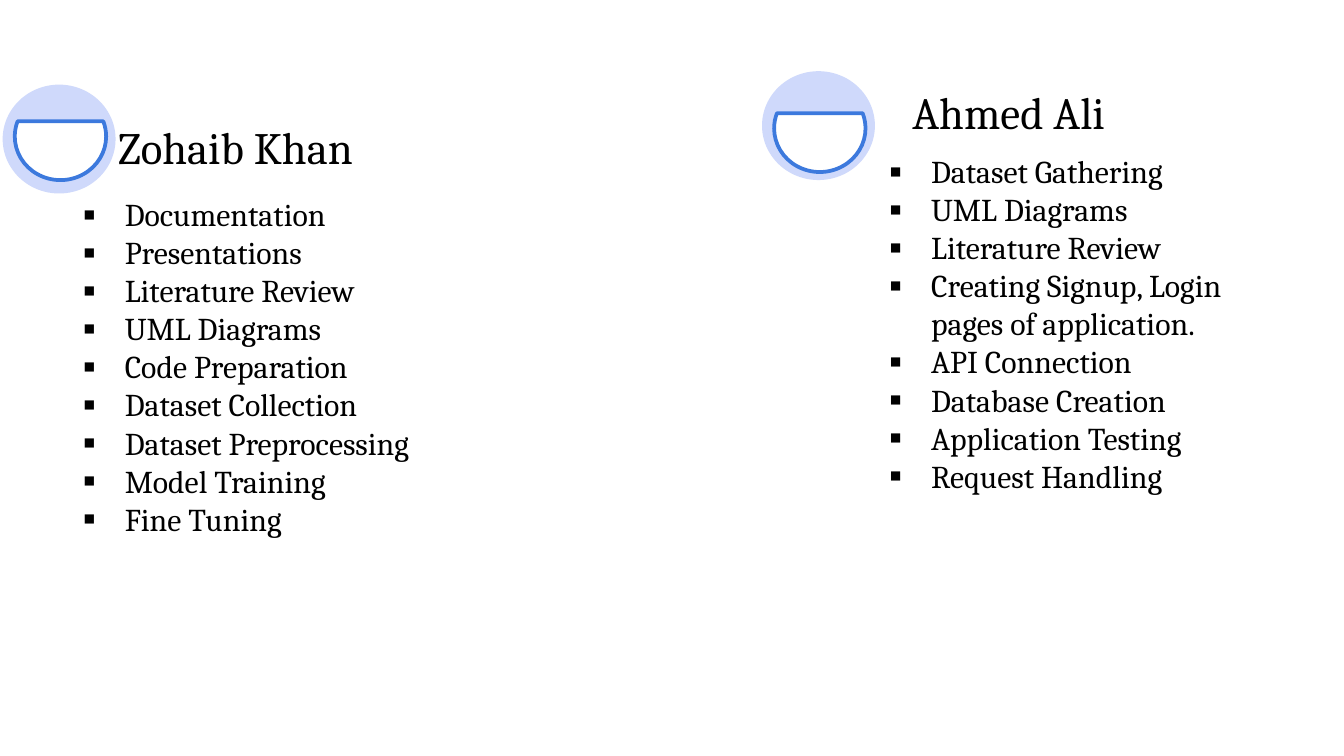
from dataclasses import dataclass

from lxml.etree import SubElement
from pptx import Presentation
from pptx.dml.color import RGBColor
from pptx.enum.shapes import MSO_SHAPE
from pptx.enum.text import MSO_AUTO_SIZE
from pptx.oxml.ns import qn
from pptx.util import Inches, Pt


@dataclass(frozen=True)
class Theme:
    font: str = "Cambria"
    ink: str = "000000"
    badge: str = "CFD9FB"
    face: str = "FFFFFF"
    outline: str = "3C79DD"
    name_size: int = 24
    task_size: int = 17
    outline_width: int = 2


@dataclass(frozen=True)
class Box:
    column: float
    row: float
    columns: float
    rows: float

    def inner(self, column, row, columns, rows):
        return Box(self.column + column, self.row + row, columns, rows)

    def lengths(self):
        return [Inches(cells * CELL) for cells in (self.column, self.row, self.columns, self.rows)]


@dataclass(frozen=True)
class Member:
    name: str
    tasks: tuple
    box: Box
    face_row: float
    name_at: tuple
    tasks_at: tuple


CELL = 0.1
SLIDE_COLUMNS, SLIDE_ROWS = 100, 56.25
BULLET_INDENT = Inches(0.31)
CHORD_ANGLES = (204.317, 119.683)
THEME = Theme()

MEMBERS = (
    Member(
        "Zohaib Khan",
        ("Documentation", "Presentations", "Literature Review", "UML Diagrams",
         "Code Preparation", "Dataset Collection", "Dataset Preprocessing",
         "Model Training", "Fine Tuning"),
        Box(0.2, 6.3, 33.9, 40.2), 0.6, (7.6, 2.1, 24.2, 5), (5, 7.7, 28.9, 32.5),
    ),
    Member(
        "Ahmed Ali",
        ("Dataset Gathering", "UML Diagrams", "Literature Review",
         "Creating Signup, Login pages of application.", "API Connection",
         "Database Creation", "Application Testing", "Request Handling"),
        Box(56.7, 5.3, 35.5, 35.1), 1, (10.2, 0.5, 24.2, 5), (8.5, 5.5, 27, 29.6),
    ),
)


def add_bullet(paragraph):
    properties = paragraph._p.get_or_add_pPr()
    properties.set("marL", str(BULLET_INDENT))
    properties.set("indent", str(-BULLET_INDENT))
    color = SubElement(properties, qn("a:buClr"))
    SubElement(color, qn("a:srgbClr"), val=THEME.ink)
    SubElement(properties, qn("a:buFont"), typeface=THEME.font)
    SubElement(properties, qn("a:buChar"), char="▪")


def add_text(slide, box, lines, *, size, bulleted=False):
    frame = slide.shapes.add_textbox(*box.lengths()).text_frame
    frame.word_wrap = True
    frame.auto_size = MSO_AUTO_SIZE.SHAPE_TO_FIT_TEXT
    for index, line in enumerate(lines):
        paragraph = frame.add_paragraph() if index else frame.paragraphs[0]
        if bulleted:
            add_bullet(paragraph)
        run = paragraph.add_run()
        run.text = line
        run.font.name = THEME.font
        run.font.size = Pt(size)
        run.font.color.rgb = RGBColor.from_string(THEME.ink)


def add_filled_shape(slide, kind, box, fill):
    shape = slide.shapes.add_shape(kind, *box.lengths())
    shape.shadow.inherit = False
    shape.fill.solid()
    shape.fill.fore_color.rgb = RGBColor.from_string(fill)
    shape.line.fill.background()
    return shape


def add_badge(slide, box, face_row):
    add_filled_shape(slide, MSO_SHAPE.OVAL, box, THEME.badge)
    face = add_filled_shape(slide, MSO_SHAPE.CHORD, box.inner(0.9, face_row, 6.8, 6.5), THEME.face)
    for index, angle in enumerate(CHORD_ANGLES):
        face.adjustments[index] = angle
    face.line.color.rgb = RGBColor.from_string(THEME.outline)
    face.line.width = Pt(THEME.outline_width)


def add_member(slide, member):
    box = member.box
    add_text(slide, box.inner(*member.tasks_at), member.tasks, size=THEME.task_size, bulleted=True)
    add_badge(slide, box.inner(0, 0, 8.4, 8.1), member.face_row)
    add_text(slide, box.inner(*member.name_at), [member.name], size=THEME.name_size)


def main():
    presentation = Presentation()
    presentation.slide_width = Inches(SLIDE_COLUMNS * CELL)
    presentation.slide_height = Inches(SLIDE_ROWS * CELL)
    slide = presentation.slides.add_slide(presentation.slide_layouts[6])
    for member in MEMBERS:
        add_member(slide, member)
    presentation.save("out.pptx")


if __name__ == "__main__":
    main()
